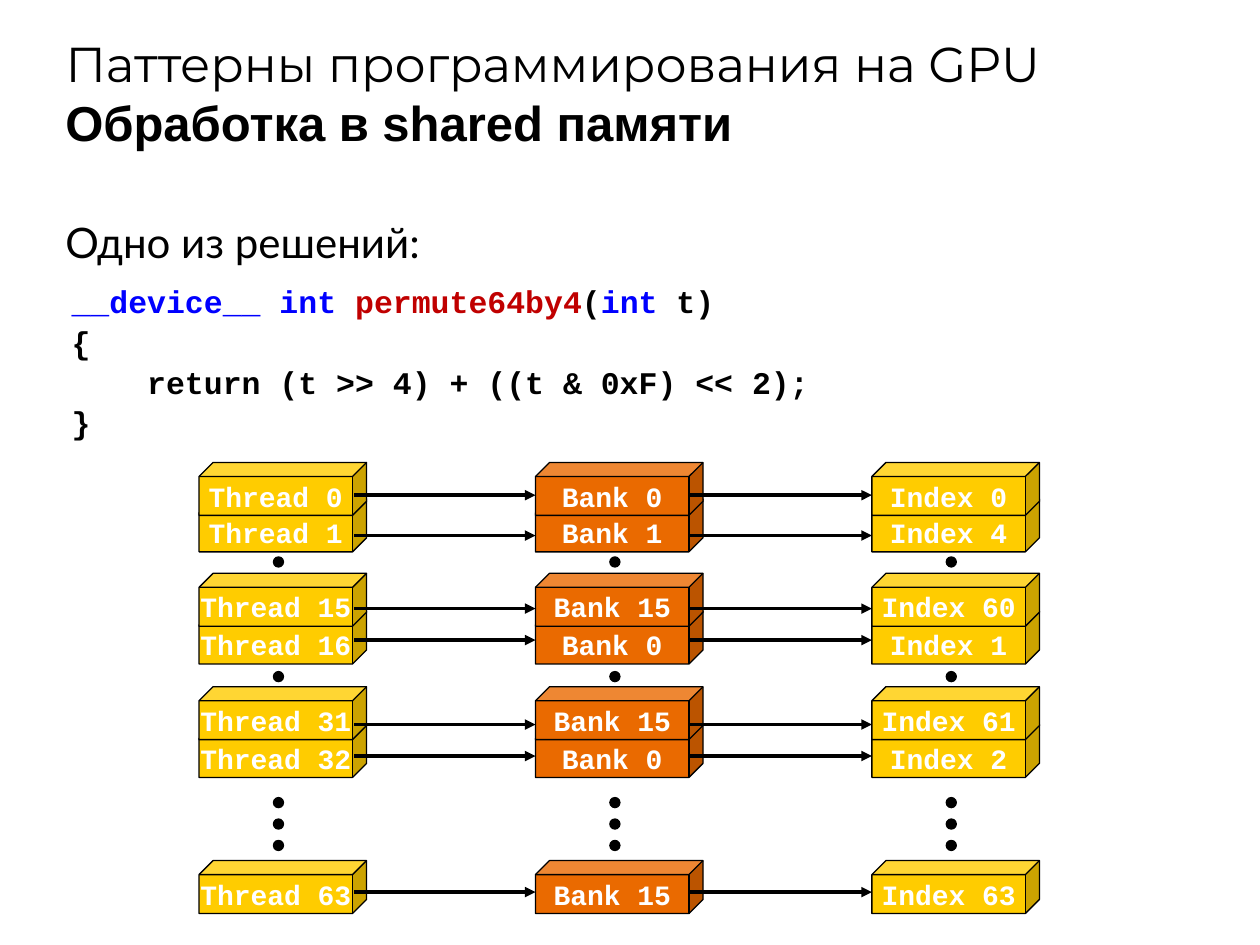
from pptx import Presentation
from pptx.dml.color import RGBColor
from pptx.enum.shapes import MSO_CONNECTOR, MSO_SHAPE
from pptx.enum.text import MSO_ANCHOR, MSO_AUTO_SIZE, PP_ALIGN
from pptx.oxml.ns import qn
from pptx.util import Inches, Pt
from lxml.etree import SubElement

BLACK = RGBColor(0x00, 0x00, 0x00)
WHITE = RGBColor(0xFF, 0xFF, 0xFF)
BLUE = RGBColor(0x00, 0x00, 0xFF)
RED = RGBColor(0xC0, 0x00, 0x00)
YELLOW = RGBColor(0xFF, 0xCC, 0x00)
ORANGE = RGBColor(0xEA, 0x6A, 0x00)

CODE = [
    [("__device__ int ", BLUE), ("permute64by4", RED), ("(", BLACK),
     ("int", BLUE), (" t)", BLACK)],
    [("{", BLACK)],
    [("    return (t >> 4) + ((t & 0xF) << 2);", BLACK)],
    [("}", BLACK)],
]

# Cube top, arrow height, thread, bank, index
ROWS = [
    (3.67, 3.93, 0, 0, 0),
    (3.96, 4.25, 1, 1, 4),
    (4.55, 4.83, 15, 15, 60),
    (4.85, 5.08, 16, 0, 1),
    (5.45, 5.75, 31, 15, 61),
    (5.75, 6.00, 32, 0, 2),
    (6.83, 7.08, 63, 15, 63),
]
COLUMNS = [("Thread", YELLOW), ("Bank", ORANGE), ("Index", YELLOW)]
COLUMN_LEFT, COLUMN_PITCH = 1.58, 2.67
CUBE_WIDTH, CUBE_HEIGHT = 1.33, 0.42
DOT_TOPS = [4.42, 5.33, 6.33, 6.50, 6.67]
DOT_SIZE, DOT_OFFSET = 0.08, 0.59
ARROW_OFFSET = 1.23


def inches(box):
    return [Inches(length) for length in box]


def add_run(paragraph, text, font, size, color, bold=False):
    run = paragraph.add_run()
    run.text = text
    run.font.name = font
    run.font.size = Pt(size)
    run.font.bold = bold
    run.font.color.rgb = color


def add_title(slide, box):
    title = slide.shapes.title
    title.left, title.top, title.width, title.height = inches(box)
    frame = title.text_frame
    frame.auto_size = MSO_AUTO_SIZE.NONE
    frame.vertical_anchor = MSO_ANCHOR.BOTTOM
    frame.margin_bottom = Inches(0.02)
    heading = frame.paragraphs[0]
    heading.alignment = PP_ALIGN.LEFT
    add_run(heading, "Паттерны программирования на GPU", "Montserrat", 28, BLACK)


def add_text(slide, box, lines, font, size, bold=False,
             anchor=MSO_ANCHOR.TOP, spacing=1.0):
    frame = slide.shapes.add_textbox(*inches(box)).text_frame
    frame.word_wrap = True
    frame.vertical_anchor = anchor
    for number, line in enumerate(lines):
        paragraph = frame.add_paragraph() if number else frame.paragraphs[0]
        paragraph.line_spacing = spacing
        for text, color in line:
            add_run(paragraph, text, font, size, color, bold)


def add_solid(slide, preset, box, color):
    solid = slide.shapes.add_shape(preset, *inches(box))
    solid.shadow.inherit = False
    solid.fill.solid()
    solid.fill.fore_color.rgb = color
    solid.line.color.rgb = BLACK
    solid.line.width = Pt(0.75)
    return solid


def add_cube(slide, box, label, color):
    cube = add_solid(slide, MSO_SHAPE.CUBE, box, color)
    cube.adjustments[0] = 0.266
    frame = cube.text_frame
    frame.word_wrap = False
    frame.vertical_anchor = MSO_ANCHOR.MIDDLE
    frame.paragraphs[0].alignment = PP_ALIGN.CENTER
    add_run(frame.paragraphs[0], label, "Courier New", 16, WHITE, bold=True)


def add_arrow(slide, start, end, y):
    arrow = slide.shapes.add_connector(
        MSO_CONNECTOR.STRAIGHT, *inches((start, y, end, y)))
    arrow.line.color.rgb = BLACK
    arrow.line.width = Pt(2)
    SubElement(arrow.line._get_or_add_ln(), qn("a:tailEnd"), type="triangle")
    SubElement(arrow._element.spPr, qn("a:effectLst"))


def add_mapping(slide, left):
    lefts = [left + COLUMN_PITCH * i for i in range(len(COLUMNS))]

    # Lower cubes go first so that each upper one overlaps the next
    for column, (x, (word, color)) in enumerate(zip(lefts, COLUMNS)):
        for top, _, *numbers in reversed(ROWS):
            add_cube(slide, (x, top, CUBE_WIDTH, CUBE_HEIGHT),
                     f"{word} {numbers[column]}", color)
        for top in DOT_TOPS:
            add_solid(slide, MSO_SHAPE.OVAL,
                      (x + DOT_OFFSET, top, DOT_SIZE, DOT_SIZE), BLACK)

    # Arrows from each column to the next
    for x, next_x in zip(lefts, lefts[1:]):
        for _, y, *_ in ROWS:
            add_arrow(slide, x + ARROW_OFFSET, next_x, y)


def main():
    prs = Presentation()
    prs.slide_width, prs.slide_height = Inches(10), Inches(7.5)
    slide = prs.slides.add_slide(prs.slide_layouts[5])

    # Headings
    add_title(slide, (0.42, 0.25, 8.92, 0.5))
    add_text(slide, (0.42, 0.75, 8.5, 0.5),
             [[("Обработка в shared памяти", BLACK)]],
             "Arial", 28, bold=True, anchor=MSO_ANCHOR.BOTTOM)

    # Solution and its code
    add_text(slide, (0.42, 1.67, 8.94, 0.5),
             [[("Одно из решений:", BLACK)]], "Lato", 24)
    add_text(slide, (0.47, 2.17, 8.94, 1.33), CODE,
             "Courier New", 18, bold=True, spacing=1.07)

    # Threads, banks and indices
    add_mapping(slide, COLUMN_LEFT)
    prs.save("out.pptx")


if __name__ == "__main__":
    main()
